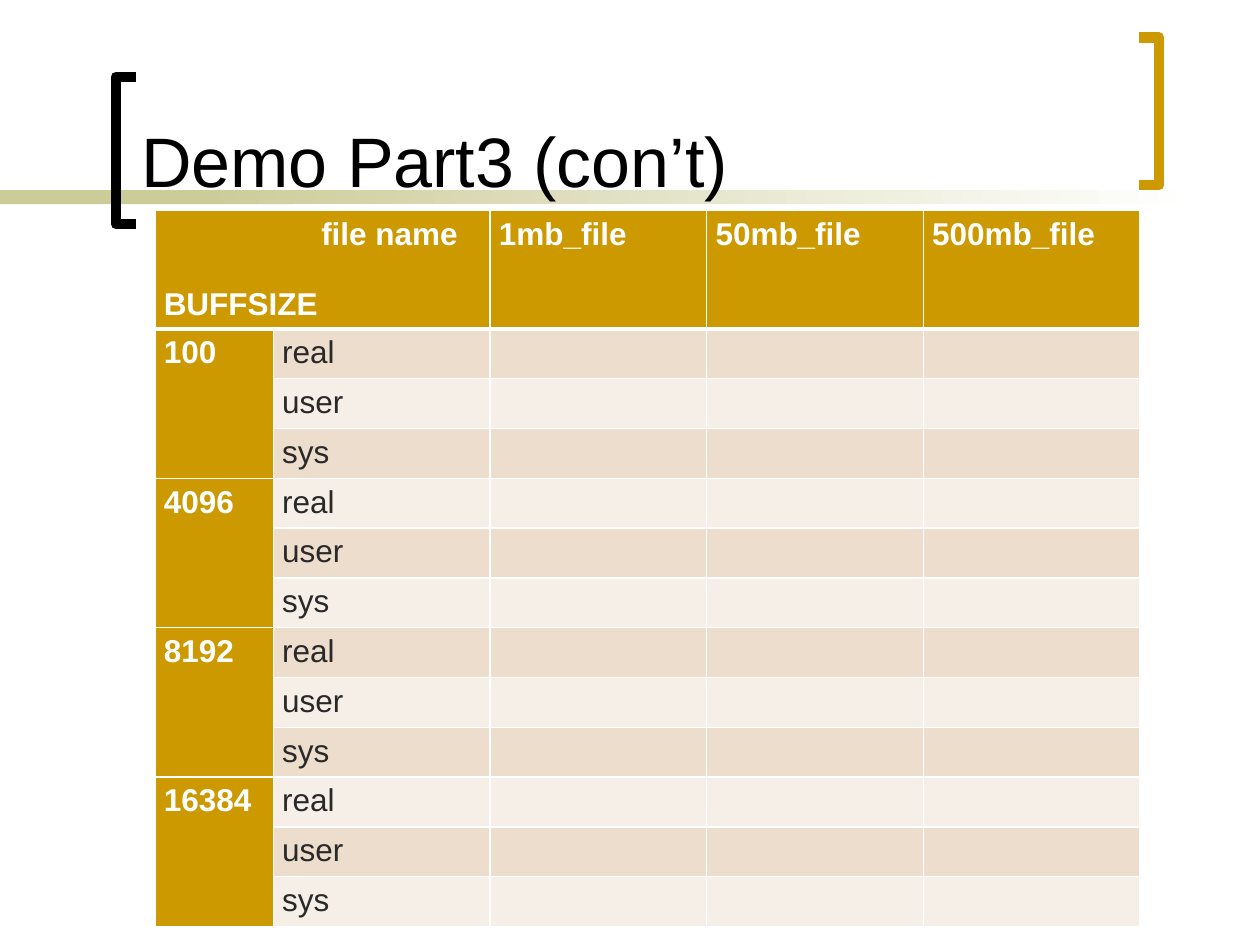
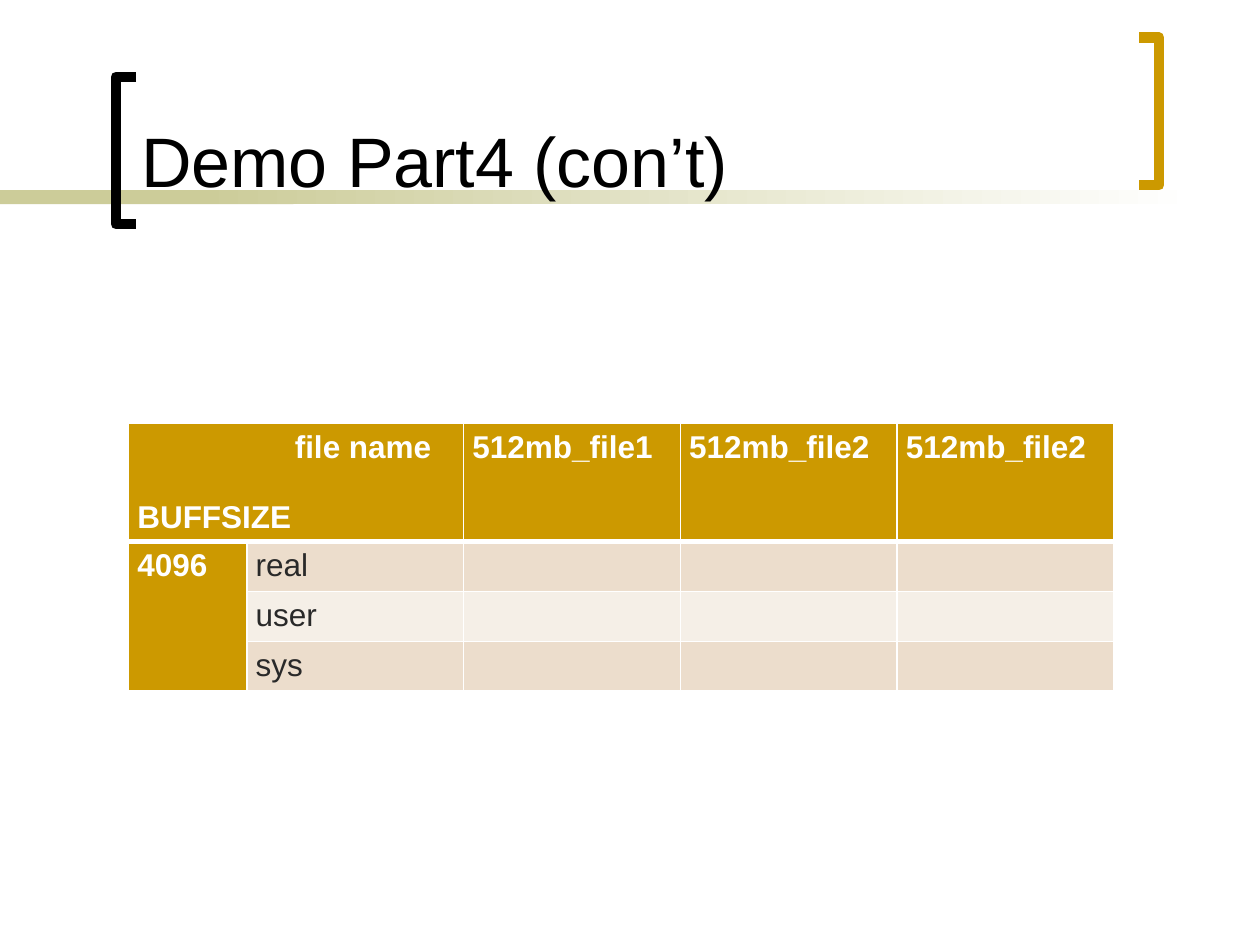
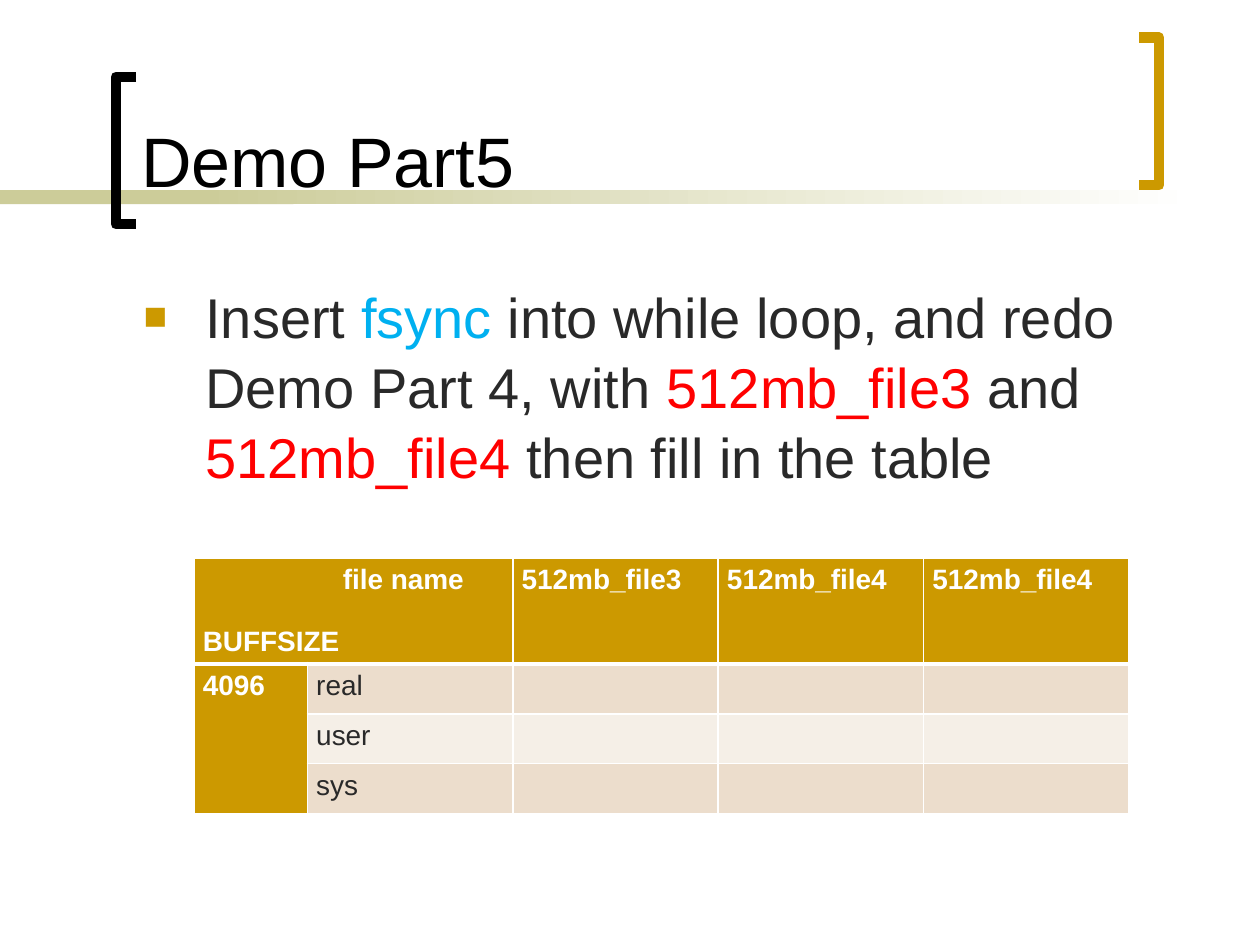
from dataclasses import dataclass

from lxml.etree import SubElement
from pptx import Presentation
from pptx.dml.color import RGBColor
from pptx.enum.shapes import MSO_SHAPE
from pptx.enum.text import MSO_ANCHOR, MSO_AUTO_SIZE, PP_ALIGN
from pptx.oxml.ns import qn
from pptx.util import Inches, Pt


@dataclass(frozen=True)
class Theme:
    font: str = "Arial"
    black: str = "000000"
    white: str = "FFFFFF"
    ink: str = "292929"
    gold: str = "CC9900"
    olive: str = "CCCC99"
    tan: str = "ECDDCC"
    cream: str = "F5EFE7"
    blue: str = "00B0F0"
    red: str = "FF0000"
    title: int = 40
    body: int = 32
    cell: int = 18
    small: int = 16
    thin: float = 0.96
    thick: float = 3


THEME = Theme()
TIMES = ("real", "user", "sys")


def tint(code):
    return RGBColor.from_string(code)


def write(para, text, size=THEME.cell, color=THEME.ink, bold=False):
    run = para.add_run()
    run.text = text
    font = run.font
    font.name, font.size, font.bold = THEME.font, Pt(size), bold
    font.color.rgb = tint(color)


def place(shape, left, top, width, height):
    shape.left, shape.top = Inches(left), Inches(top)
    shape.width, shape.height = Inches(width), Inches(height)


def add_band(slide, left, width, fade=False):
    band = slide.shapes.add_shape(
        MSO_SHAPE.RECTANGLE, Inches(left), Inches(1.51), Inches(width), Inches(0.11))
    if fade:
        band.fill.gradient()
        band.fill.gradient_angle = 0
        for stop, code in zip(band.fill.gradient_stops, (THEME.olive, THEME.white)):
            stop.color.rgb = tint(code)
        for stop, spot in zip(band.fill.gradient_stops, (0, 1)):
            stop.position = spot
    else:
        band.fill.solid()
        band.fill.fore_color.rgb = tint(THEME.olive)
    band.line.fill.background()
    return band


def add_bracket(slide, tips, spine, top, color):
    low = top + 1.17
    points = [(Inches(x), Inches(y)) for x, y in
              ((tips, top), (spine, top), (spine, low), (tips, low))]
    pen = slide.shapes.build_freeform(*points[0], scale=1.0)
    pen.add_line_segments(points[1:], close=False)
    mark = pen.convert_to_shape()
    mark.fill.background()
    mark.line.color.rgb = tint(color)
    mark.line.width = Pt(6)
    return mark


def add_frame(deck, slide):
    parts = [
        add_band(slide, 0, 2.33),
        add_band(slide, 1.58, 7.92, fade=True),
        add_bracket(slide, 1.08, 0.92, 0.61, THEME.black),
        add_bracket(slide, 9.04, 9.2, 0.3, THEME.gold),
    ]
    tree = deck.slide_master.shapes.element
    for spot, part in enumerate(parts):
        part.shadow.inherit = False
        part.element.xpath(".//p:cNvPr")[0].set("id", str(100 + spot))
        tree.insert(2 + spot, part.element)


def add_slide(deck, layout, text):
    slide = deck.slides.add_slide(deck.slide_layouts.get_by_name(layout))
    title = slide.shapes.title
    place(title, 1.02, 0.11, 7.83, 1.54)
    frame = title.text_frame
    frame.vertical_anchor = MSO_ANCHOR.BOTTOM
    frame.auto_size = MSO_AUTO_SIZE.NONE
    para = frame.paragraphs[0]
    para.alignment = PP_ALIGN.LEFT
    write(para, text, size=THEME.title, color=THEME.black)
    return slide


def add_bullet(slide, runs):
    body = slide.placeholders[1]
    place(body, 1.04, 2.17, 8.38, 4.5)
    body.text_frame.auto_size = MSO_AUTO_SIZE.NONE
    para = body.text_frame.paragraphs[0]
    para.space_before = Pt(6.4)
    para.line_spacing = 1.04
    props = para._p.get_or_add_pPr()
    props.set("marL", str(Inches(0.49)))
    props.set("indent", str(Inches(-0.49)))
    SubElement(SubElement(props, qn("a:buClr")), qn("a:srgbClr"), val=THEME.gold)
    SubElement(props, qn("a:buSzPct"), val="70000")
    SubElement(props, qn("a:buFont"), typeface=THEME.font)
    SubElement(props, qn("a:buChar"), char="■")
    for text, color in runs:
        write(para, text, size=THEME.body, color=color)


def style_cell(cell, row, col):
    cell.margin_left = cell.margin_right = Inches(0.07)
    cell.margin_top, cell.margin_bottom = Inches(0.05), Inches(0.04)
    props = cell._tc.get_or_add_tcPr()
    heavy = {0: "B", 1: "T"}.get(row)
    for side in "LRTB":
        width = THEME.thick if side == heavy else THEME.thin
        line = SubElement(props, qn(f"a:ln{side}"), w=str(Pt(width)))
        SubElement(SubElement(line, qn("a:solidFill")), qn("a:srgbClr"), val=THEME.white)
    cell.fill.solid()
    band = THEME.tan if row % 2 else THEME.cream
    cell.fill.fore_color.rgb = tint(THEME.gold if row == 0 or col == 0 else band)


def add_times(slide, spot, widths, head, files, sizes, size=THEME.cell):
    first, rest = widths
    count = 1 + len(sizes) * len(TIMES)
    wide, high = first + 4 * rest, head + 0.38 * (count - 1)
    left, top = spot
    grid = slide.shapes.add_table(
        count, 5, Inches(left), Inches(top), Inches(wide), Inches(high)).table
    for col, column in enumerate(grid.columns):
        column.width = Inches(rest if col else first)
    for row, line in enumerate(grid.rows):
        line.height = Inches(0.38 if row else head)
        for col, cell in enumerate(line.cells):
            style_cell(cell, row, col)

    label = dict(size=size, color=THEME.white, bold=True)
    corner = grid.cell(0, 0)
    corner.merge(grid.cell(0, 1))
    upper = corner.text_frame.paragraphs[0]
    upper._p.get_or_add_pPr().set("marL", str(Pt(5 * size)))
    write(upper, "file name", **label)
    lower = corner.text_frame.add_paragraph()
    lower.space_before = Pt(1.1 * size)
    write(lower, "BUFFSIZE", **label)

    for col, name in enumerate(files, 2):
        write(grid.cell(0, col).text_frame.paragraphs[0], name, **label)
    for group, buff in enumerate(sizes):
        start = 1 + group * len(TIMES)
        cell = grid.cell(start, 0)
        cell.merge(grid.cell(start + len(TIMES) - 1, 0))
        write(cell.text_frame.paragraphs[0], buff, **label)
        for row, kind in enumerate(TIMES, start):
            write(grid.cell(row, 1).text_frame.paragraphs[0], kind, size=size)


def main():
    deck = Presentation()
    deck.slide_width, deck.slide_height = Inches(10), Inches(7.5)

    third = add_slide(deck, "Title Only", "Demo Part3 (con’t)")
    add_frame(deck, third)
    add_times(third, (1.23, 1.67), (0.94, 1.72), 0.94,
              ("1mb_file", "50mb_file", "500mb_file"),
              ("100", "4096", "8192", "16384"))

    fourth = add_slide(deck, "Title Only", "Demo Part4 (con’t)")
    add_times(fourth, (1.02, 3.36), (0.94, 1.72), 0.94,
              ("512mb_file1", "512mb_file2", "512mb_file2"), ("4096",))

    fifth = add_slide(deck, "Title and Content", "Demo Part5")
    add_bullet(fifth, (
        ("Insert ", THEME.ink),
        ("fsync ", THEME.blue),
        ("into while loop, and redo Demo Part 4, with ", THEME.ink),
        ("512mb_file3", THEME.red),
        (" and ", THEME.ink),
        ("512mb_file4", THEME.red),
        (" then fill in the table", THEME.ink),
    ))
    add_times(fifth, (1.54, 4.43), (0.9, 1.63), 0.84,
              ("512mb_file3", "512mb_file4", "512mb_file4"), ("4096",),
              size=THEME.small)

    deck.save("out.pptx")


if __name__ == "__main__":
    main()
